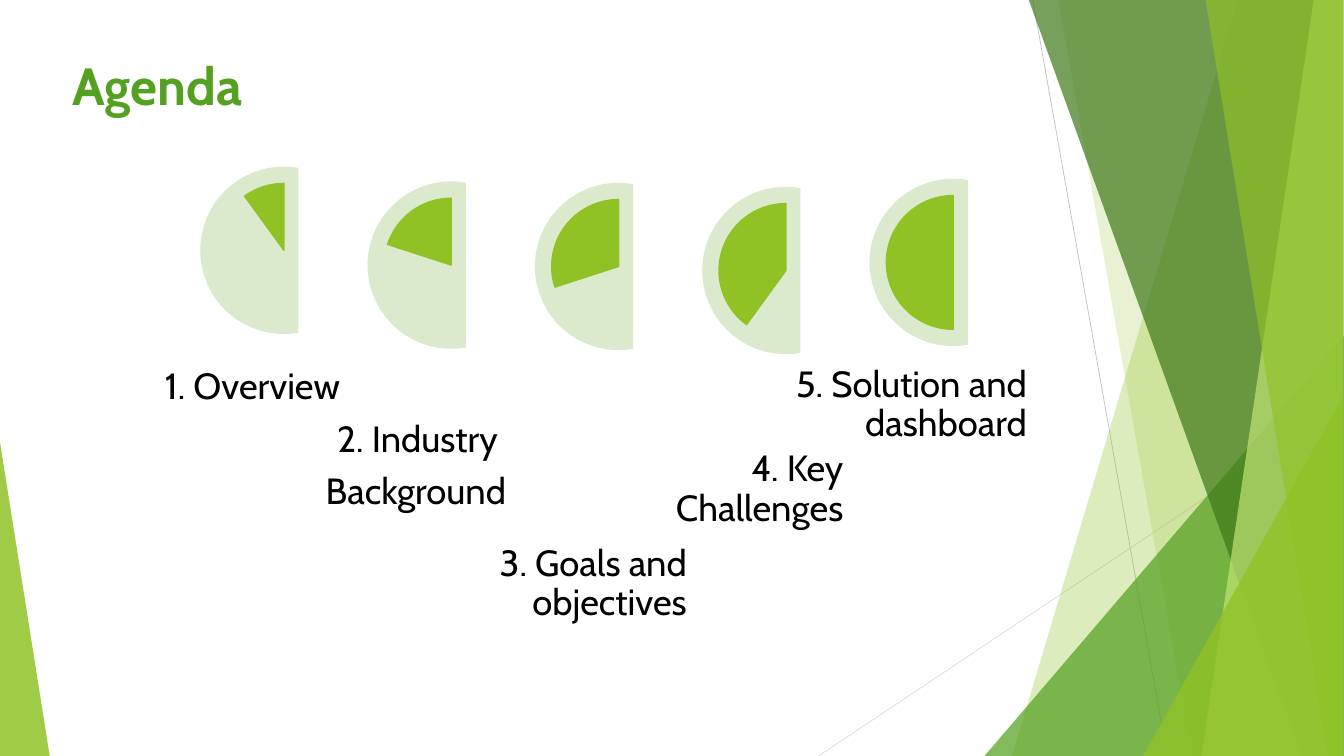
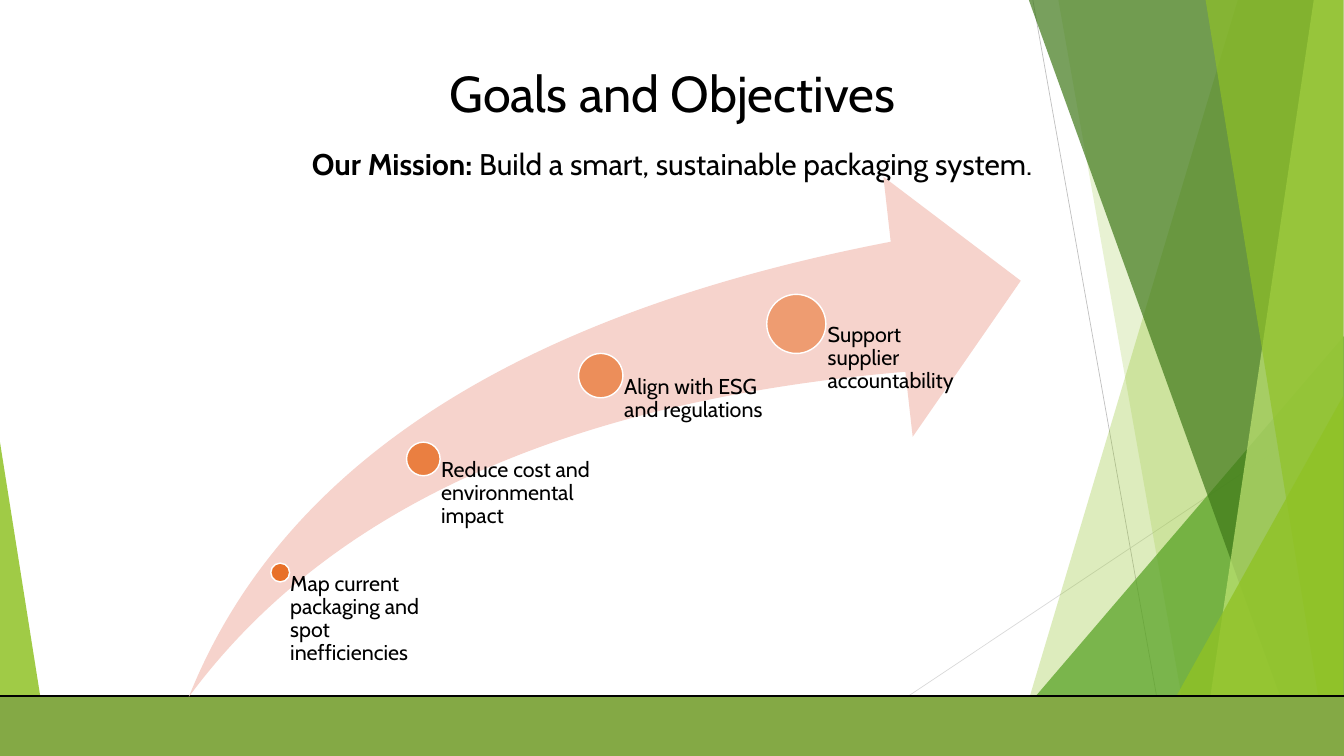
"""Build the agenda slide and the goals slide on a shared faceted green background."""
from lxml import etree
from pptx import Presentation
from pptx import util as u
from pptx.dml.color import RGBColor
from pptx.enum import shapes, text
from pptx.oxml.ns import qn

COLOURS = {
    "lime": "90C226", "green": "54A021", "forest": "3F7819", "pale lime": "C0E474",
    "mist": "DBE9CD", "olive": "84A945", "blush": "F6D3CC", "orange": "E76618",
    "black": "000000", "white": "FFFFFF", "grey": "BFBFBF", "light grey": "D9D9D9",
}
FONT = "Cabin"
WIDTH, HEIGHT = 20, 11.25
PRESET = shapes.MSO_SHAPE
ALIGN = text.PP_ALIGN
ANCHOR = text.MSO_ANCHOR


def paint(shape, fill, opacity=100, line=None, line_width=1.5):
    shape.shadow.inherit = False
    shape.fill.solid()
    shape.fill.fore_color.rgb = RGBColor.from_string(COLOURS[fill])
    if opacity < 100:
        colour = shape.fill._xPr.find(qn("a:solidFill"))[0]
        etree.SubElement(colour, qn("a:alpha")).set("val", str(opacity * 1000))
    if line:
        shape.line.color.rgb = RGBColor.from_string(COLOURS[line])
        shape.line.width = u.Pt(line_width)
    else:
        shape.line.fill.background()


def set_text(shape, lines, size, align=ALIGN.LEFT, anchor=ANCHOR.TOP,
             colour="black", bold=False, spacing=0.9, after=0.35, inset=0):
    frame = shape.text_frame
    frame.word_wrap = True
    frame.auto_size = text.MSO_AUTO_SIZE.NONE
    frame.vertical_anchor = anchor
    frame.margin_left = u.Inches(inset)
    frame.margin_top = frame.margin_right = frame.margin_bottom = 0
    frame.text = "\n".join(lines)
    for paragraph in frame.paragraphs:
        paragraph.alignment = align
        paragraph.line_spacing = spacing
        paragraph.space_before = u.Pt(0)
        paragraph.space_after = u.Pt(size * after)
        paragraph.font.name = FONT
        paragraph.font.size = u.Pt(size)
        paragraph.font.bold = bold
        paragraph.font.color.rgb = RGBColor.from_string(COLOURS[colour])


presentation = Presentation()
presentation.slide_width = u.Inches(WIDTH)
presentation.slide_height = u.Inches(HEIGHT)
title_only = presentation.slide_layouts[5]
agenda = presentation.slides.add_slide(title_only)
goals = presentation.slides.add_slide(title_only)

backdrop = []
for x1, y1, x2, y2, colour in [
    (15.37, 0, 17.37, HEIGHT, "grey"),
    (19.99, 6.04, 12.18, HEIGHT, "light grey"),
]:
    connector = agenda.shapes.add_connector(
        shapes.MSO_CONNECTOR.STRAIGHT, u.Inches(x1), u.Inches(y1), u.Inches(x2), u.Inches(y2))
    connector.line.color.rgb = RGBColor.from_string(COLOURS[colour])
    connector.line.width = u.Pt(0.75)
    etree.SubElement(connector.element.spPr, qn("a:effectLst"))
    backdrop.append(connector)

BLADES_AND_TRIANGLES = [
    ((18.42, 15.06), "lime", 30),
    ((15.75, 17.74), "lime", 20),
    ((14.65, 5, 5.35, 1), "green", 72),
    ((15.31, 19.37), "forest", 70),
    ((19.55, 17.88), "pale lime", 70),
    ((17.94, 19.76), "lime", 65),
    ((17.01, 5.89, 2.98, 1), "lime", 80),
    ((0, 6.58, 0.74, 0), "lime", 85),
]
for geometry, colour, opacity in BLADES_AND_TRIANGLES:
    if len(geometry) == 2:
        top_x, bottom_x = geometry
        builder = agenda.shapes.build_freeform(u.Inches(top_x), 0)
        builder.add_line_segments(
            [(u.Inches(x), u.Inches(y))
             for x, y in [(19.99, 0), (19.99, HEIGHT), (bottom_x, HEIGHT)]])
        facet = builder.convert_to_shape()
    else:
        left, top, width, apex = geometry
        facet = agenda.shapes.add_shape(
            PRESET.ISOSCELES_TRIANGLE, u.Inches(left), u.Inches(top),
            u.Inches(width), u.Inches(HEIGHT - top))
        facet.adjustments[0] = apex
    paint(facet, colour, opacity)
    backdrop.append(facet)

for number, shape in enumerate(backdrop, start=100):
    shape.element.xpath("./*/p:cNvPr")[0].set("id", str(number))
    presentation.slide_master.shapes.element.append(shape.element)

for slide, left, top, width, height in [
    (agenda, 1.08, 0.79, 12.42, 0.94),
    (goals, 3.33, 0.93, 13.35, 1.69),
]:
    title = slide.shapes.title
    title.left, title.top = u.Inches(left), u.Inches(top)
    title.width, title.height = u.Inches(width), u.Inches(height)

set_text(agenda.shapes.title, ["Agenda"], 56, colour="green", bold=True,
         spacing=u.Pt(67.2), after=0)

DIAL, DIAL_STEP, WEDGE = 2.49, 2.49, 1.99
AGENDA_ITEMS = [
    (2.48, 0.83, 4.57, 4.23, ["1. Overview"]),
    (2.7, 4.17, 6.13, 3.36, ["2. Industry ", "Background"]),
    (2.72, 6.92, 7.79, 3.3, ["3. Goals and objectives"]),
    (2.78, 9.5, 6.38, 3.05, ["4. Key Challenges"]),
    (2.66, 11.73, 5.12, 3.55, ["5. Solution and dashboard"]),
]
for index, (dial_top, left, top, width, lines) in enumerate(AGENDA_ITEMS):
    dial_left = 2.98 + index * DIAL_STEP
    dial = agenda.shapes.add_shape(
        PRESET.CHORD, u.Inches(dial_left), u.Inches(dial_top), u.Inches(DIAL), u.Inches(DIAL))
    dial.adjustments[0], dial.adjustments[1] = 48, 168
    paint(dial, "mist")

    margin = (DIAL - WEDGE) / 2
    wedge = agenda.shapes.add_shape(
        PRESET.PIE, u.Inches(dial_left + margin), u.Inches(dial_top + margin),
        u.Inches(WEDGE), u.Inches(WEDGE))
    wedge.adjustments[0], wedge.adjustments[1] = 162 - 21.6 * (index + 1), 162
    paint(wedge, "lime", line="lime")

    label = agenda.shapes.add_textbox(
        u.Inches(left), u.Inches(top), u.Inches(width), u.Inches(1.49))
    set_text(label, lines, 39, ALIGN.RIGHT, ANCHOR.BOTTOM)

footer_band = goals.shapes.add_shape(
    PRESET.RECTANGLE, u.Inches(-0.62), u.Inches(10.36), u.Inches(21.24), u.Inches(1.28))
paint(footer_band, "olive", line="black", line_width=2.25)
goals.shapes.element.remove(footer_band.element)
goals.shapes.title.element.addprevious(footer_band.element)

set_text(goals.shapes.title, ["Goals and Objectives", "Our Mission:"], 54, ALIGN.CENTER,
         spacing=u.Pt(64), after=0)
mission = goals.shapes.title.text_frame.paragraphs[1]
mission.font.size = u.Pt(32)
mission.runs[0].font.bold = True
mission.add_run().text = " Build a smart, sustainable packaging system."

SWOOSH_BOTTOM = 10.37
swoosh = goals.shapes.add_shape(
    PRESET.SWOOSH_ARROW, u.Inches(2.81), u.Inches(2.63), u.Inches(12.38), u.Inches(7.74))
swoosh.adjustments[0] = swoosh.adjustments[1] = 0.25
paint(swoosh, "blush")

MILESTONES = [
    (4.03, 8.38, 0.28, 90, 2.12, "Map current packaging and spot inefficiencies"),
    (6.05, 6.58, 0.5, 77, 2.6, "Reduce cost and environmental impact"),
    (8.61, 5.26, 0.66, 63, 2.6, "Align with ESG and regulations"),
    (11.41, 4.38, 0.88, 50, 2.6, "Support supplier accountability"),
]
for left, top, diameter, opacity, width, goal in MILESTONES:
    dot = goals.shapes.add_shape(
        PRESET.OVAL, u.Inches(left), u.Inches(top), u.Inches(diameter), u.Inches(diameter))
    paint(dot, "orange", opacity, line="white")

    centre_x, centre_y = left + diameter / 2, top + diameter / 2
    label = goals.shapes.add_textbox(
        u.Inches(centre_x), u.Inches(centre_y), u.Inches(width),
        u.Inches(SWOOSH_BOTTOM - centre_y))
    set_text(label, [goal], 23, inset=0.53 * diameter)

presentation.save("out.pptx")
